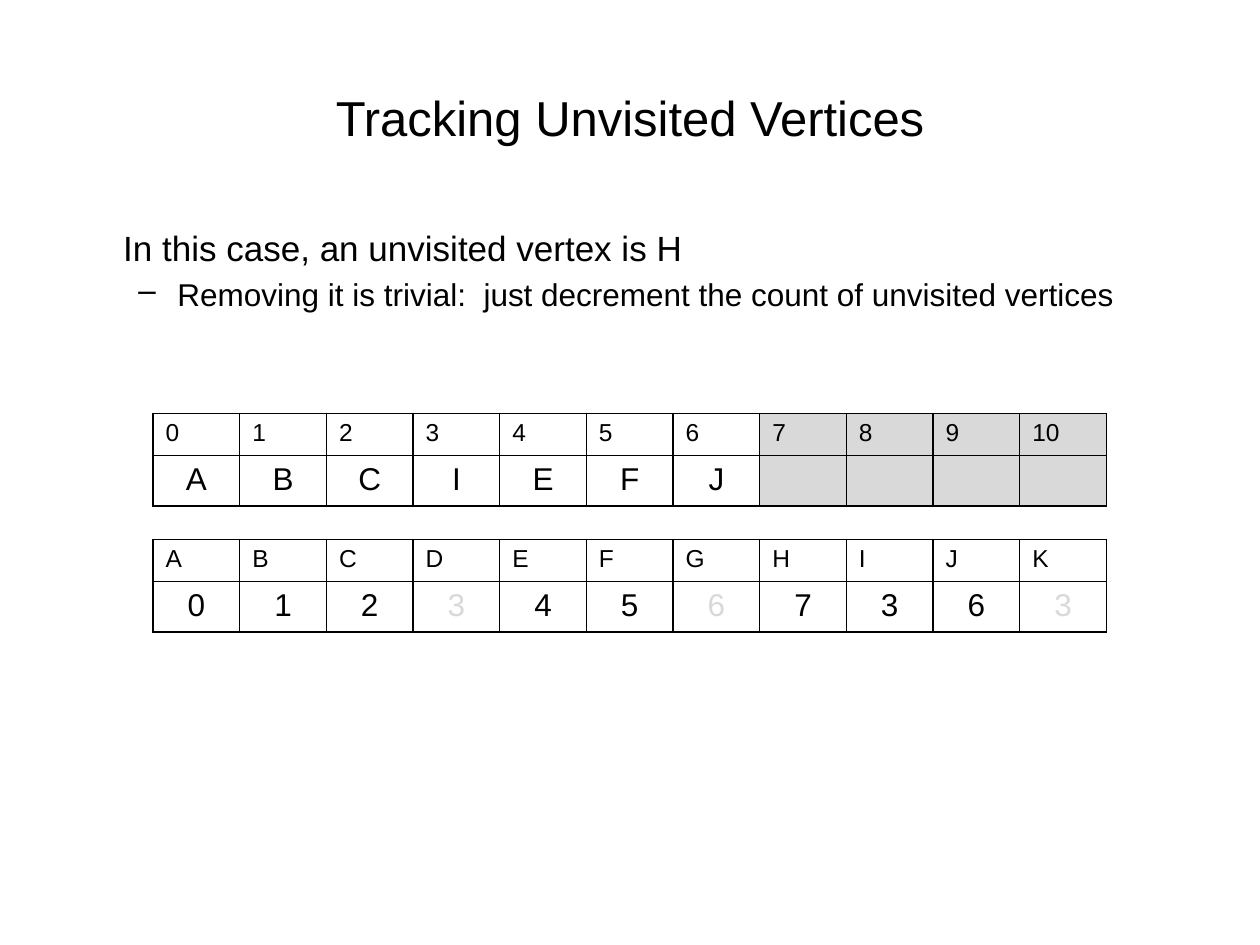
"""Build the slide on tracking unvisited vertices with two lookup tables."""
import pptx
import pptx.dml.color
import pptx.enum.text
import pptx.oxml
import pptx.oxml.ns
import pptx.util
import lxml.etree

COLORS = {"ink": "000000", "muted": "D9D9D9"}
CENTER = pptx.enum.text.PP_ALIGN.CENTER
LEFT = pptx.enum.text.PP_ALIGN.LEFT
inch = pptx.util.Inches


def write(paragraph, text, size, color="ink", align=LEFT):
    paragraph.alignment = align
    run = paragraph.add_run()
    run.text = text
    run.font.size = pptx.util.Pt(size)
    run.font.name = "Arial"
    run.font.color.rgb = pptx.dml.color.RGBColor.from_string(COLORS[color])


def add_borders(cell):
    properties = cell._tc.get_or_add_tcPr()
    for side in ("lnL", "lnR", "lnT", "lnB"):
        properties.append(pptx.oxml.parse_xml(
            f'<a:{side} {pptx.oxml.ns.nsdecls("a")} w="12700"><a:solidFill>'
            f'<a:srgbClr val="{COLORS["ink"]}"/></a:solidFill></a:{side}>'))


deck = pptx.Presentation()
deck.slide_width, deck.slide_height = inch(10), inch(7.5)
slide = deck.slides.add_slide(deck.slide_layouts[6])
margin = inch(0.5)
content_width = deck.slide_width - 2 * margin

title = slide.shapes.add_textbox(margin, inch(0.3), content_width, inch(1.25)).text_frame
title.word_wrap = True
title.vertical_anchor = pptx.enum.text.MSO_ANCHOR.MIDDLE
write(title.paragraphs[0], "Tracking Unvisited Vertices", 28, align=CENTER)

explanation = slide.shapes.add_textbox(margin, inch(1.75), content_width, inch(4.95)).text_frame
explanation.word_wrap = True
statement, detail = explanation.paragraphs[0], explanation.add_paragraph()
detail.level = 1
for paragraph, text, size, left, hanging in (
    (statement, "\tIn this case, an unvisited vertex is H", 20, 0.38, -0.38),
    (detail, "Removing it is trivial:  just decrement the count of unvisited vertices", 18, 0.81, -0.31),
):
    write(paragraph, text, size)
    paragraph.space_before = pptx.util.Pt(0.2 * size)
    paragraph._p.pPr.set("marL", str(inch(left)))
    paragraph._p.pPr.set("indent", str(inch(hanging)))
lxml.etree.SubElement(detail._p.pPr, pptx.oxml.ns.qn("a:buChar")).set("char", "–")

vertices = "ABCDEFGHIJK"
count = len(vertices)
unvisited = "ABCIEFJ"
positions = "01234567363"
removed = "DGK"
table_width = inch(7.57)
table_left = (deck.slide_width - table_width) // 2
row_heights = (inch(0.33), inch(0.4))

for top, headings, values, shaded, faded in (
    (3.28, [str(index) for index in range(count)], unvisited.ljust(count),
     range(len(unvisited), count), ()),
    (4.28, vertices, positions, (), [vertices.index(vertex) for vertex in removed]),
):
    lookup = slide.shapes.add_table(
        2, count, table_left, inch(top), table_width, sum(row_heights)).table
    lookup.first_row = lookup.horz_banding = False
    for row, height in zip(lookup.rows, row_heights):
        row.height = height
    for column, (heading, value) in enumerate(zip(headings, values)):
        for row, text, size, align in ((0, heading, 14, LEFT), (1, value.strip(), 18, CENTER)):
            cell = lookup.cell(row, column)
            add_borders(cell)
            if column in shaded:
                cell.fill.solid()
                cell.fill.fore_color.rgb = pptx.dml.color.RGBColor.from_string(COLORS["muted"])
            else:
                cell.fill.background()
            if text:
                color = "muted" if row == 1 and column in faded else "ink"
                write(cell.text_frame.paragraphs[0], text, size, color, align)

deck.save("out.pptx")
